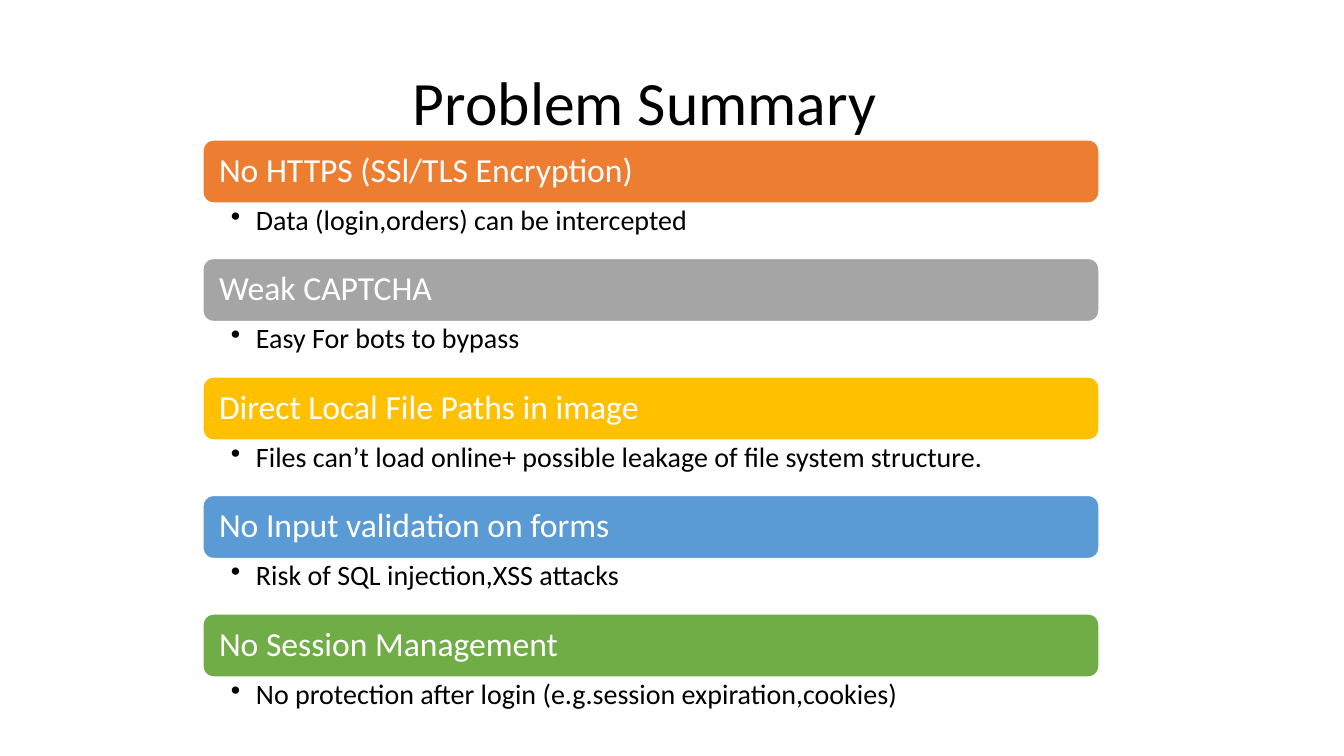
from lxml import etree
from pptx import Presentation
from pptx import util as u
from pptx.dml.color import RGBColor
from pptx.enum import shapes, text
from pptx.oxml.ns import qn

TITLE = "Problem Summary"
PROBLEMS = [
    ("No HTTPS (SSl/TLS Encryption)", "Data (login,orders) can be intercepted", "ED7D31"),
    ("Weak CAPTCHA", "Easy For bots to bypass", "A5A5A5"),
    ("Direct Local File Paths in image",
     "Files can’t load online+ possible leakage of file system structure.", "FFC000"),
    ("No Input validation on forms", "Risk of SQL injection,XSS attacks", "5B9BD5"),
    ("No Session Management", "No protection after login (e.g.session expiration,cookies)", "70AD47"),
]

LEFT, WIDTH = 203, 896
FIRST_TOP, LAST_TOP = 140, 614
BAR_HEIGHT, RISK_HEIGHT = 63, 55
BULLET_INDENT = 25


def px(length):
    return u.Emu(round(length * 914400 / 100.8))


def color(value):
    return RGBColor.from_string(value)


def write(shape, words, size, font_color, anchor, insets):
    frame = shape.text_frame
    frame.text = words
    frame.word_wrap = True
    frame.auto_size = text.MSO_AUTO_SIZE.NONE
    frame.vertical_anchor = anchor
    frame.margin_left, frame.margin_top, frame.margin_right, frame.margin_bottom = map(px, insets)
    paragraph = frame.paragraphs[0]
    paragraph.alignment = text.PP_ALIGN.LEFT
    paragraph.line_spacing = 0.9
    font = paragraph.runs[0].font
    font.name = "Calibri"
    font.size = u.Pt(size)
    font.color.rgb = color(font_color)
    return paragraph


def add_bullet(paragraph):
    properties = paragraph._p.get_or_add_pPr()
    properties.set("marL", str(px(BULLET_INDENT)))
    properties.set("indent", str(-px(BULLET_INDENT)))
    etree.SubElement(properties, qn("a:buChar"), char="•")


def add_problem(slide, top, heading, risk, fill):
    bar = slide.shapes.add_shape(shapes.MSO_SHAPE.ROUNDED_RECTANGLE,
                                 px(LEFT), px(top), px(WIDTH), px(BAR_HEIGHT))
    bar.shadow.inherit = False
    bar.fill.solid()
    bar.fill.fore_color.rgb = color(fill)
    bar.line.color.rgb = color("FFFFFF")
    bar.line.width = u.Pt(1)
    write(bar, heading, 24, "FFFFFF", text.MSO_ANCHOR.MIDDLE, (13, 10, 13, 10))

    box = slide.shapes.add_textbox(px(LEFT), px(top + BAR_HEIGHT), px(WIDTH), px(RISK_HEIGHT))
    add_bullet(write(box, risk, 20, "000000", text.MSO_ANCHOR.TOP, (28, 3, 16, 3)))


def main():
    presentation = Presentation()
    presentation.slide_width, presentation.slide_height = px(1344), px(756)
    slide = presentation.slides.add_slide(presentation.slide_layouts[5])

    title = slide.shapes.title
    title.left, title.top, title.width, title.height = map(px, (0, 33, 1159, 146))
    write(title, TITLE, 44, "000000", text.MSO_ANCHOR.MIDDLE, (413, 5, 10, 5))

    pitch = (LAST_TOP - FIRST_TOP) / (len(PROBLEMS) - 1)
    for index, problem in enumerate(PROBLEMS):
        add_problem(slide, FIRST_TOP + index * pitch, *problem)

    presentation.save("out.pptx")


if __name__ == "__main__":
    main()
